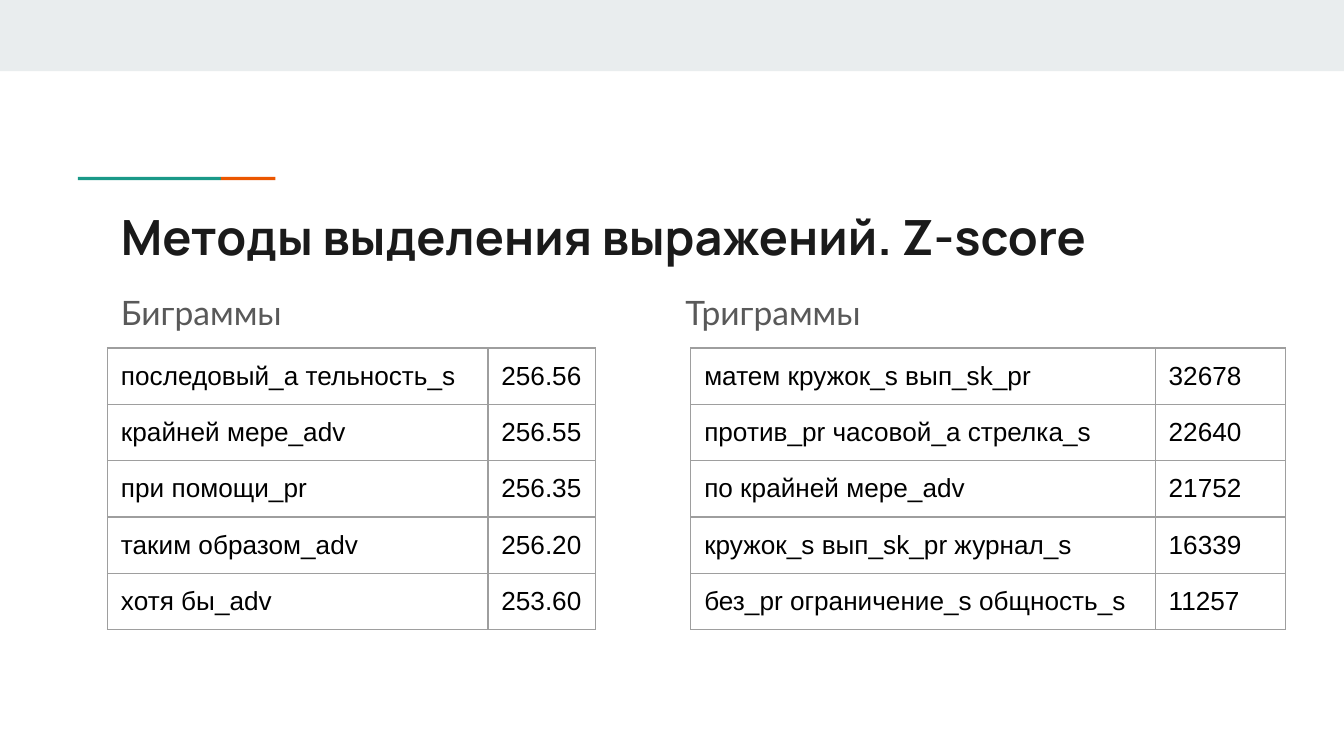
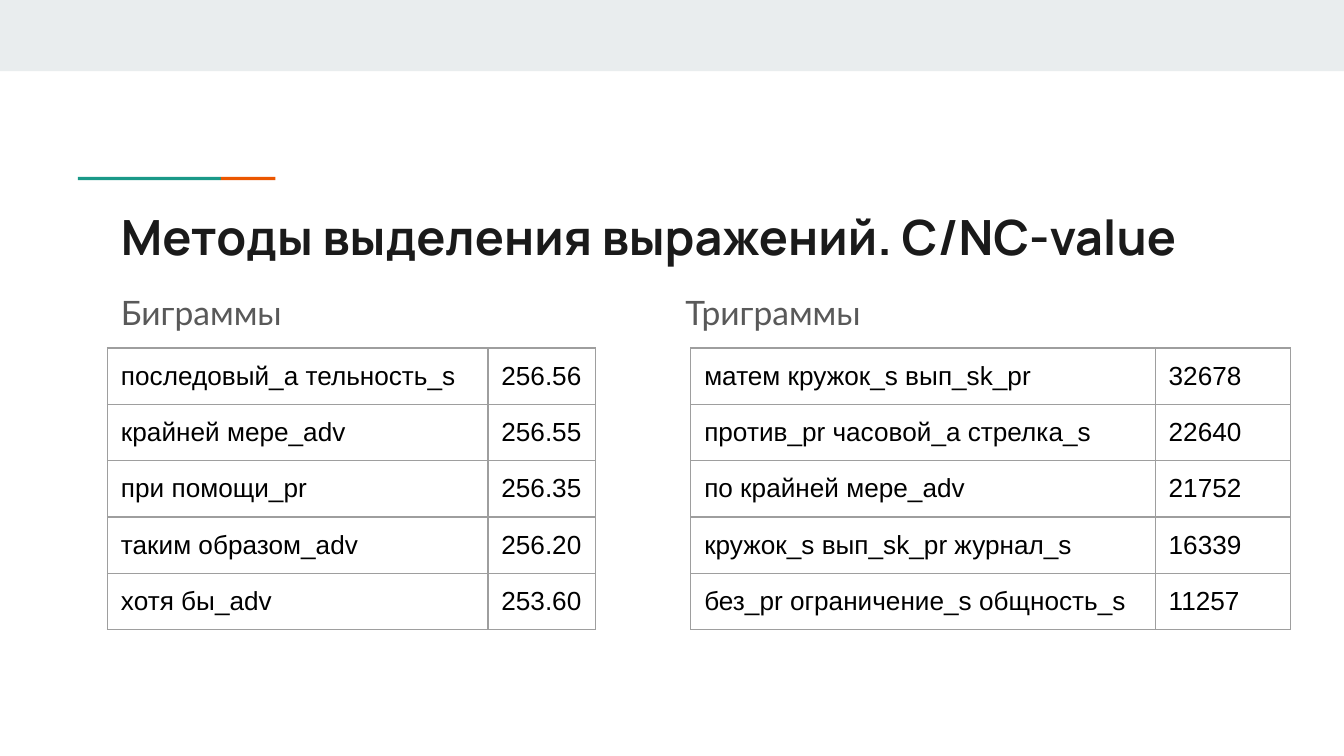
from lxml.etree import SubElement
from pptx import Presentation
from pptx.dml.color import RGBColor
from pptx.enum.shapes import MSO_SHAPE as Shape
from pptx.enum.text import MSO_ANCHOR as Anchor, MSO_AUTO_SIZE as AutoSize, PP_ALIGN as Align
from pptx.oxml.ns import qn
from pptx.util import Pt

BAND, TEAL, ORANGE = "E9EDEE", "1A9988", "EB5600"
INK, GREY, BLACK, BORDER = "1A1A1A", "595959", "000000", "9E9E9E"
WIDTH, HEIGHT = 720, 405
INSET, ROW_H = 7.2, 30.1
BODY_TOP, TABLE_TOP = 146.2, 186.5

DECOR = [
    (0, 0, WIDTH, 38.2, BAND),
    (41.8, 94.8, 76.6, 1.7, TEAL),
    (118.4, 94.8, 29.2, 1.7, ORANGE),
]
BIGRAMS = [
    ("последовый_a тельность_s", "256.56"),
    ("крайней мере_adv", "256.55"),
    ("при помощи_pr", "256.35"),
    ("таким образом_adv", "256.20"),
    ("хотя бы_adv", "253.60"),
]
TRIGRAMS = [
    ("матем кружок_s вып_sk_pr", "32678"),
    ("против_pr часовой_a стрелка_s", "22640"),
    ("по крайней мере_adv", "21752"),
    ("кружок_s вып_sk_pr журнал_s", "16339"),
    ("без_pr ограничение_s общность_s", "11257"),
]
TITLE = "Методы выделения выражений. "
SLIDES = [("Z-score", 69.7), ("C/NC-value", 72.5)]


def rgb(color):
    """Turn a hex string into a colour."""
    return RGBColor.from_string(color)


def write(tf, text, size, font, color, bold=False, spacing=None, after=0):
    """Write one formatted, left-aligned paragraph without a bullet."""
    p = tf.paragraphs[0]
    r = p.add_run()
    r.text = text
    p.alignment = Align.LEFT
    p.space_before, p.space_after = Pt(0), Pt(after)
    p.line_spacing = spacing
    pPr = p._p.get_or_add_pPr()
    pPr.set("marL", "0")
    pPr.set("indent", "0")
    SubElement(pPr, qn("a:buNone"))
    r.font.size, r.font.name, r.font.bold = Pt(size), font, bold
    r.font.color.rgb = rgb(color)


def place(sp, x, y, w, h):
    """Move a placeholder and give it plain, top-anchored text settings."""
    sp.left, sp.top, sp.width, sp.height = Pt(x), Pt(y), Pt(w), Pt(h)
    tf = sp.text_frame
    tf.word_wrap, tf.auto_size, tf.vertical_anchor = True, AutoSize.NONE, Anchor.TOP
    tf.margin_left = tf.margin_right = tf.margin_top = tf.margin_bottom = Pt(INSET)
    return tf


def add_decor(s):
    """Draw the top band and the two-colour accent line."""
    for x, y, w, h, color in DECOR:
        sp = s.shapes.add_shape(Shape.RECTANGLE, Pt(x), Pt(y), Pt(w), Pt(h))
        sp.shadow.inherit = False
        sp.fill.solid()
        sp.fill.fore_color.rgb = rgb(color)
        sp.line.fill.background()


def style_cell(cell):
    """Give a cell a thin border, even margins and no fill."""
    tcPr = cell._tc.get_or_add_tcPr()
    for side in ("lnL", "lnR", "lnT", "lnB"):
        ln = SubElement(tcPr, qn(f"a:{side}"), w=str(Pt(0.75)))
        fill = SubElement(ln, qn("a:solidFill"))
        SubElement(fill, qn("a:srgbClr"), val=BORDER)
    cell.fill.background()
    cell.margin_left = cell.margin_right = Pt(INSET)
    cell.margin_top = cell.margin_bottom = Pt(INSET)


def add_scores(s, rows, x, widths):
    """Add a table of expressions and their scores."""
    frame = s.shapes.add_table(len(rows), len(widths), Pt(x), Pt(TABLE_TOP),
                               Pt(sum(widths)), Pt(ROW_H * len(rows)))
    table = frame.table
    table.first_row = table.horz_banding = False
    for col, w in zip(table.columns, widths):
        col.width = Pt(w)
    for i, row in enumerate(rows):
        table.rows[i].height = Pt(ROW_H)
        for j, text in enumerate(row):
            cell = table.cell(i, j)
            style_cell(cell)
            write(cell.text_frame, text, 14, "Arial", BLACK)


def add_slide(prs, method, score_w):
    """Build one slide comparing bigrams and trigrams for a method."""
    s = prs.slides.add_slide(prs.slide_layouts[3])
    add_decor(s)
    write(place(s.shapes.title, 57.6, 103.7, 605.5, 42.5),
          TITLE + method, 26, "Manrope", INK, bold=True)
    columns = [
        (1, "Биграммы", 57.6, BIGRAMS, 57.6, (203.8, 57.6)),
        (2, "Триграммы", 360, TRIGRAMS, 370.1, (248.8, score_w)),
    ]
    for idx, heading, x, rows, table_x, widths in columns:
        tf = place(s.placeholders[idx], x, BODY_TOP, 255, 177.8)
        write(tf, heading, 18, "Lato", GREY, spacing=1.15, after=16)
        add_scores(s, rows, table_x, widths)


def main():
    """Build and save the presentation."""
    prs = Presentation()
    prs.slide_width, prs.slide_height = Pt(WIDTH), Pt(HEIGHT)
    for method, score_w in SLIDES:
        add_slide(prs, method, score_w)
    prs.save("out.pptx")


if __name__ == "__main__":
    main()
